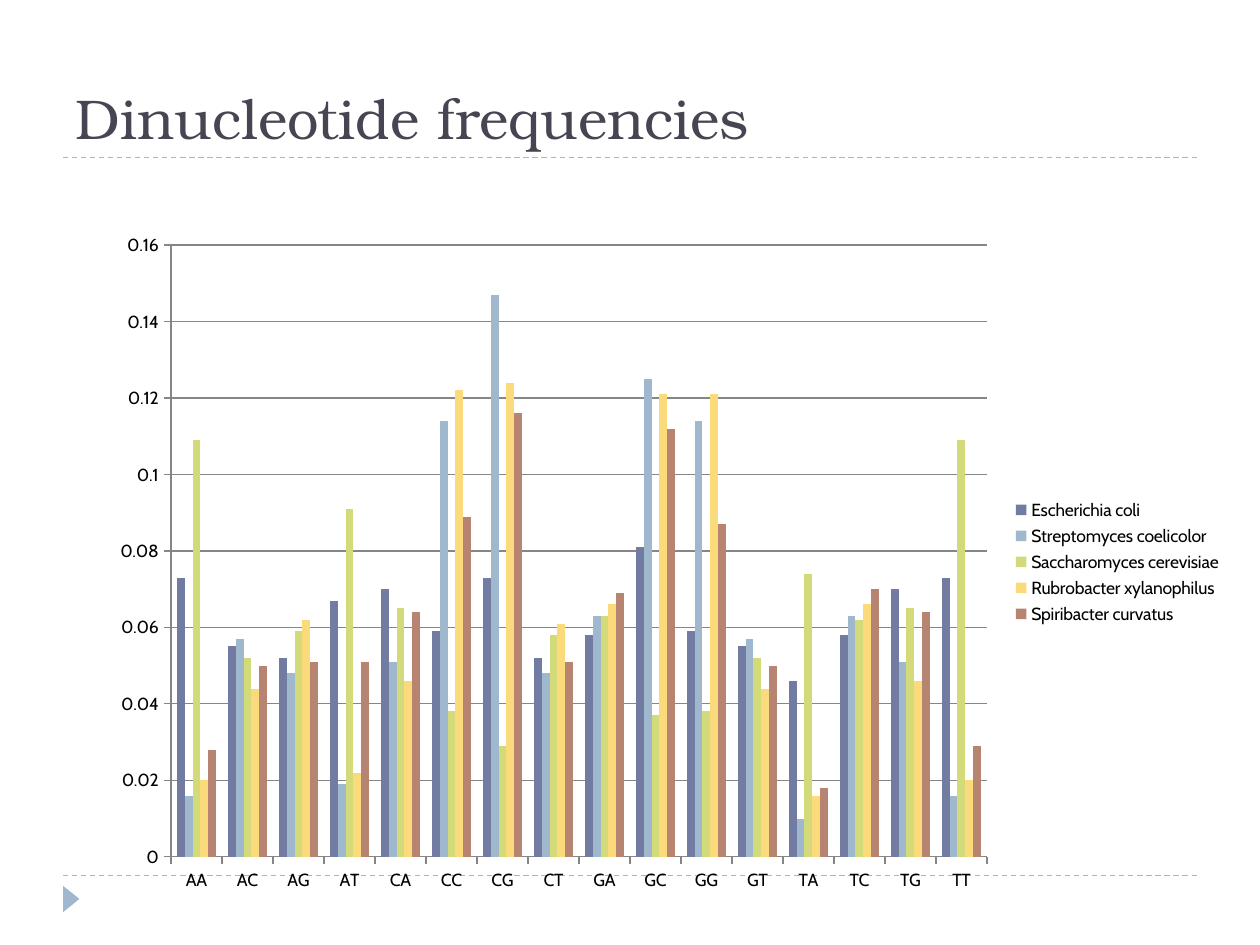
from lxml.etree import SubElement
from pptx import Presentation
from pptx.chart.data import CategoryChartData
from pptx.dml.color import RGBColor
from pptx.enum.chart import XL_CHART_TYPE, XL_LEGEND_POSITION, XL_TICK_MARK
from pptx.enum.dml import MSO_LINE
from pptx.enum.shapes import MSO_CONNECTOR, MSO_SHAPE
from pptx.enum.text import MSO_ANCHOR, PP_ALIGN
from pptx.oxml.ns import qn
from pptx.util import Inches, Pt

WIDE, HIGH = Inches(10), Inches(7.5)
EDGE = 0.05  # side margin as a share of the width
SLATE = RGBColor(0x46, 0x46, 0x53)
SKY = RGBColor(0x9F, 0xB8, 0xCD)
GREY = RGBColor(0x86, 0x86, 0x86)
BLACK = RGBColor(0, 0, 0)

PAIRS = [a + b for a in "ACGT" for b in "ACGT"]
SPECIES = [
    ("Escherichia coli", RGBColor(0x72, 0x7C, 0xA3),
     [0.073, 0.055, 0.052, 0.067, 0.07, 0.059, 0.073, 0.052,
      0.058, 0.081, 0.059, 0.055, 0.046, 0.058, 0.07, 0.073]),
    ("Streptomyces coelicolor", SKY,
     [0.016, 0.057, 0.048, 0.019, 0.051, 0.114, 0.147, 0.048,
      0.063, 0.125, 0.114, 0.057, 0.01, 0.063, 0.051, 0.016]),
    ("Saccharomyces cerevisiae", RGBColor(0xD2, 0xDA, 0x7A),
     [0.109, 0.052, 0.059, 0.091, 0.065, 0.038, 0.029, 0.058,
      0.063, 0.037, 0.038, 0.052, 0.074, 0.062, 0.065, 0.109]),
    ("Rubrobacter xylanophilus", RGBColor(0xFA, 0xDA, 0x7A),
     [0.02, 0.044, 0.062, 0.022, 0.046, 0.122, 0.124, 0.061,
      0.066, 0.121, 0.121, 0.044, 0.016, 0.066, 0.046, 0.02]),
    ("Spiribacter curvatus", RGBColor(0xB8, 0x84, 0x72),
     [0.028, 0.05, 0.051, 0.051, 0.064, 0.089, 0.116, 0.051,
      0.069, 0.112, 0.087, 0.05, 0.018, 0.07, 0.064, 0.029]),
]


def add_rule(slide, top):
    """Draw a dashed line between the margins, at a share of the height."""
    y = int(HIGH * top)
    rule = slide.shapes.add_connector(
        MSO_CONNECTOR.STRAIGHT, int(WIDE * EDGE), y, int(WIDE * (1 - EDGE)), y)
    rule.line.color.rgb = SKY
    rule.line.width = Pt(0.75)
    rule.line.dash_style = MSO_LINE.DASH
    SubElement(rule._element.spPr, qn("a:effectLst"))


def add_mark(slide):
    mark = slide.shapes.add_shape(
        MSO_SHAPE.ISOSCELES_TRIANGLE,
        Inches(0.46), Inches(7.07), Inches(0.21), Inches(0.13))
    mark.rotation = 90
    mark.shadow.inherit = False
    mark.fill.solid()
    mark.fill.fore_color.rgb = SKY
    mark.line.fill.background()


def set_title(slide, text):
    title = slide.shapes.title
    title.left, title.top = int(WIDE * EDGE), Inches(0.17)
    title.width, title.height = int(WIDE * (1 - 2 * EDGE)), Inches(1.08)
    frame = title.text_frame
    frame.vertical_anchor = MSO_ANCHOR.BOTTOM
    line = frame.paragraphs[0]
    line.alignment = PP_ALIGN.LEFT
    run = line.add_run()
    run.text = text
    run.font.name = "TeX Gyre Bonum"
    run.font.size = Pt(32)
    run.font.color.rgb = SLATE


def style_axis(axis):
    axis.major_tick_mark = XL_TICK_MARK.OUTSIDE
    axis.minor_tick_mark = XL_TICK_MARK.NONE
    axis.format.line.color.rgb = GREY
    axis.format.line.width = Pt(0.75)


def place_plot(chart, **box):
    """Fix the inner plot area, in shares of the chart's size."""
    area = chart._chartSpace.chart.plotArea
    for old in area.findall(qn("c:layout")):
        area.remove(old)
    layout = SubElement(area, qn("c:layout"))
    area.insert(0, layout)
    hand = SubElement(layout, qn("c:manualLayout"))
    parts = {"layoutTarget": "inner", "xMode": "edge", "yMode": "edge", **box}
    for name, val in parts.items():
        SubElement(hand, qn("c:" + name)).set("val", str(val))


def add_bars(slide):
    data = CategoryChartData(number_format="General")
    data.categories = PAIRS
    for name, _, vals in SPECIES:
        data.add_series(name, vals)
    chart = slide.shapes.add_chart(
        XL_CHART_TYPE.COLUMN_CLUSTERED, Inches(0.78), Inches(1.75),
        Inches(9.02), Inches(5.42), data).chart
    chart.has_title = False
    chart.font.name = "Cabin"
    chart.font.size = Pt(10)
    chart.font.color.rgb = BLACK

    plot = chart.plots[0]
    plot.vary_by_categories = False
    plot.gap_width, plot.overlap = 150, 0
    for bars, (_, color, _) in zip(plot.series, SPECIES):
        bars.format.fill.solid()
        bars.format.fill.fore_color.rgb = color

    style_axis(chart.category_axis)
    axis = chart.value_axis
    style_axis(axis)
    axis.minimum_scale, axis.maximum_scale, axis.major_unit = 0, 0.16, 0.02
    axis.has_major_gridlines = True
    axis.major_gridlines.format.line.color.rgb = GREY
    axis.major_gridlines.format.line.width = Pt(0.75)

    chart.has_legend = True
    chart.legend.position = XL_LEGEND_POSITION.RIGHT
    chart.legend.include_in_layout = False
    place_plot(chart, x=0.064, y=0.036, w=0.718, h=0.896)


def main():
    deck = Presentation()
    deck.slide_width, deck.slide_height = WIDE, HIGH
    slide = deck.slides.add_slide(deck.slide_layouts[5])
    for top in (6.95 / 7.5, 1.25 / 7.5):
        add_rule(slide, top)
    add_mark(slide)
    set_title(slide, "Dinucleotide frequencies")
    add_bars(slide)
    deck.save("out.pptx")


if __name__ == "__main__":
    main()
